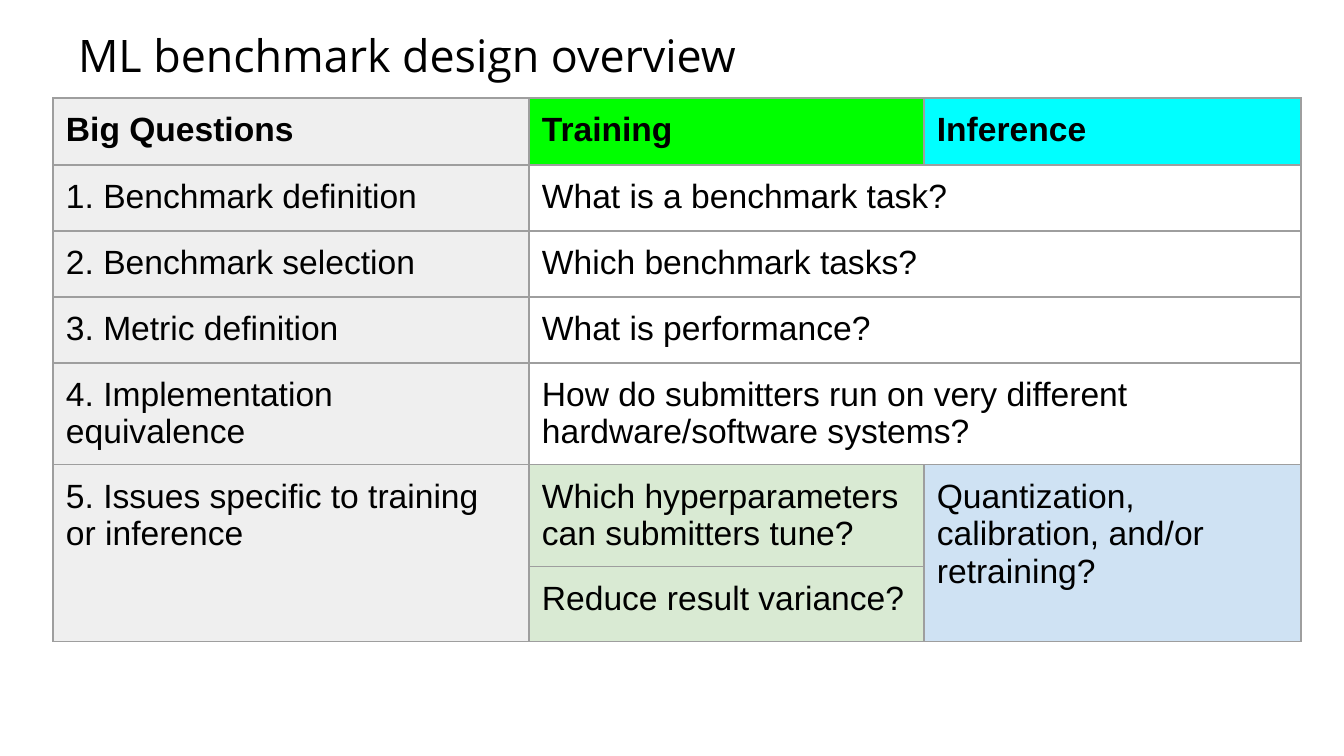
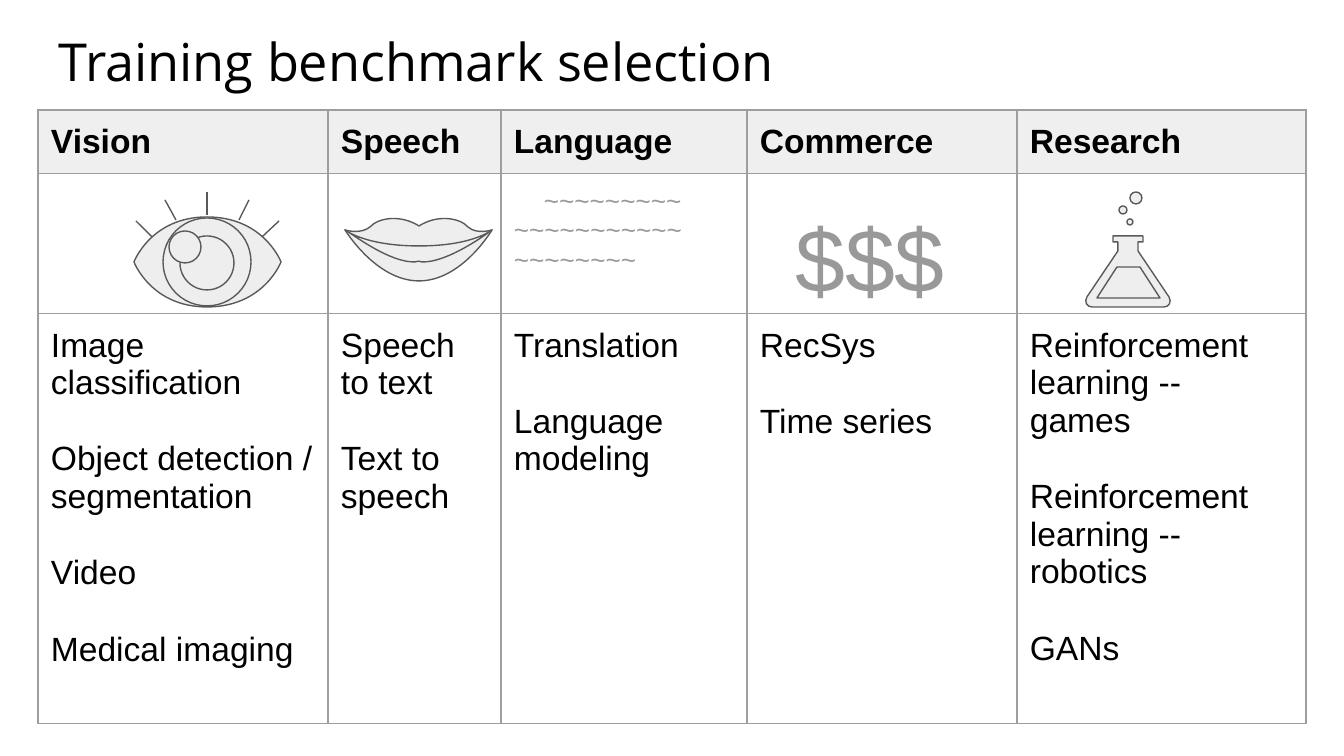
from lxml.etree import SubElement
from pptx import Presentation
from pptx.dml.color import RGBColor
from pptx.enum.text import MSO_ANCHOR, MSO_AUTO_SIZE, PP_ALIGN
from pptx.oxml.ns import qn
from pptx.util import Pt

PX = 6804
INSET = 13 * PX
BLACK = RGBColor(0x00, 0x00, 0x00)
GRID = RGBColor(0x9E, 0x9E, 0x9E)
LIGHT = RGBColor(0xEF, 0xEF, 0xEF)
GREEN = RGBColor(0x00, 0xFF, 0x00)
CYAN = RGBColor(0x00, 0xFF, 0xFF)
PALE_GREEN = RGBColor(0xD9, 0xEA, 0xD3)
PALE_BLUE = RGBColor(0xCF, 0xE2, 0xF3)
SYMBOL = RGBColor(0x99, 0x99, 0x99)
ICON_FILL = RGBColor(0xEE, 0xEE, 0xEE)
ICON_LINE = RGBColor(0x59, 0x59, 0x59)
TITLE_FONT = "Open Sans"
BODY_FONT = "Arial"

presentation = Presentation()
presentation.slide_width = 1344 * PX
presentation.slide_height = 756 * PX


def add_table_slide(heading, title_box, title_size, corner, widths, heights, rows, fills, merges):
    slide = presentation.slides.add_slide(presentation.slide_layouts[5])
    title = slide.shapes.title
    title.left, title.top, title.width, title.height = [n * PX for n in title_box]
    frame = title.text_frame
    frame.text = heading
    frame.auto_size = MSO_AUTO_SIZE.NONE
    frame.word_wrap = True
    frame.vertical_anchor = MSO_ANCHOR.TOP
    frame.margin_left = frame.margin_right = frame.margin_top = frame.margin_bottom = INSET
    paragraph = frame.paragraphs[0]
    paragraph.alignment = PP_ALIGN.LEFT
    paragraph.font.name = TITLE_FONT
    paragraph.font.size = Pt(title_size)
    paragraph.font.color.rgb = BLACK

    left, top = corner
    table = slide.shapes.add_table(
        len(heights), len(widths), left * PX, top * PX, sum(widths) * PX, sum(heights) * PX
    ).table
    table.first_row = table.horz_banding = False
    for column, width in zip(table.columns, widths):
        column.width = width * PX
    for row, height in zip(table.rows, heights):
        row.height = height * PX
    for row_index, (texts, colors) in enumerate(zip(rows, fills)):
        for column_index, (text, color) in enumerate(zip(texts, colors)):
            cell = table.cell(row_index, column_index)
            cell.text = text
            cell.margin_left = cell.margin_right = cell.margin_top = cell.margin_bottom = INSET
            properties = cell._tc.get_or_add_tcPr()
            for side in ("a:lnL", "a:lnR", "a:lnT", "a:lnB"):
                border = SubElement(properties, qn(side), w=str(Pt(0.75)))
                solid = SubElement(border, qn("a:solidFill"))
                SubElement(solid, qn("a:srgbClr"), val=str(GRID))
            if color is None:
                cell.fill.background()
            else:
                cell.fill.solid()
                cell.fill.fore_color.rgb = color
            for index, paragraph in enumerate(cell.text_frame.paragraphs):
                if index:
                    paragraph.space_before = Pt(20.7)
                paragraph.font.name = BODY_FONT
                paragraph.font.size = Pt(18)
                paragraph.font.bold = row_index == 0
                paragraph.font.color.rgb = BLACK
    for first_row, first_column, last_row, last_column in merges:
        table.cell(first_row, first_column).merge(table.cell(last_row, last_column))
    return slide, table


def draw_icon(slide, box, outlines):
    left, top, width, height = box
    builder = slide.shapes.build_freeform(left, top, scale=PX)
    builder.add_line_segments(
        [(left + width, top), (left + width, top + height), (left, top + height)]
    )
    shape = builder.convert_to_shape()
    shape.shadow.inherit = False
    shape.fill.solid()
    shape.fill.fore_color.rgb = ICON_FILL
    shape.line.color.rgb = ICON_LINE
    shape.line.width = Pt(0.75)
    path_list = shape._element.spPr.find(".//" + qn("a:pathLst"))
    path_list.clear()
    tags = {"M": "a:moveTo", "L": "a:lnTo", "C": "a:cubicBezTo"}
    for outline in outlines:
        figure = SubElement(path_list, qn("a:path"), w=str(width), h=str(height))
        closed = outline[-1][0] in "ZO"
        if not closed:
            figure.set("fill", "none")
        for command, *numbers in outline:
            if command == "Z":
                SubElement(figure, qn("a:close"))
                continue
            if command == "O":
                center_x, center_y, radius = numbers
                command, numbers = "M", [center_x + radius, center_y]
            step = SubElement(figure, qn(tags[command]))
            for x, y in zip(numbers[::2], numbers[1::2]):
                SubElement(step, qn("a:pt"), x=str(x - left), y=str(y - top))
            if outline[0][0] == "O":
                SubElement(figure, qn("a:arcTo"), wR=str(radius), hR=str(radius),
                           stAng="0", swAng="21600000")
                SubElement(figure, qn("a:close"))


overview, overview_table = add_table_slide(
    "ML benchmark design overview", (65, 15, 1232, 85), 24,
    (53, 98), (476, 395, 377), (67, 66, 66, 66, 102, 102, 75),
    [
        ("Big Questions", "Training", "Inference"),
        ("1. Benchmark definition", "What is a benchmark task?", ""),
        ("2. Benchmark selection", "Which benchmark tasks?", ""),
        ("3. Metric definition", "What is performance?", ""),
        ("4. Implementation equivalence",
         "How do submitters run on very different hardware/software systems?", ""),
        ("5. Issues specific to training or inference",
         "Which hyperparameters can submitters tune?",
         "Quantization, calibration, and/or retraining?"),
        ("", "Reduce result variance?", ""),
    ],
    [(LIGHT, GREEN, CYAN)] + [(LIGHT, None, None)] * 4 + [(LIGHT, PALE_GREEN, PALE_BLUE)] * 2,
    [(row, 1, row, 2) for row in range(1, 5)] + [(5, 0, 6, 0), (5, 2, 6, 2)],
)
overview_table.cell(6, 1).margin_right = 11 * PX

selection, selection_table = add_table_slide(
    "Training benchmark selection", (46, 16, 1253, 85), 28,
    (38, 110), (290, 173, 246, 270, 289), (63, 140, 410),
    [
        ("Vision", "Speech", "Language", "Commerce", "Research"),
        ("", "", "~~~~~~~~~\n~~~~~~~~~~~\n~~~~~~~~", "", ""),
        ("Image classification\nObject detection / segmentation\nVideo\nMedical imaging",
         "Speech to text\nText to speech",
         "Translation\nLanguage modeling",
         "RecSys\nTime series",
         "Reinforcement learning --\vgames\nReinforcement learning -- robotics\nGANs"),
    ],
    [(LIGHT,) * 5, (None,) * 5, (None,) * 5],
    [],
)
text_lines = selection_table.cell(1, 2).text_frame.paragraphs
for paragraph in text_lines:
    paragraph.space_before = Pt(0)
    paragraph.font.size = Pt(14)
    paragraph.font.color.rgb = SYMBOL
text_lines[0]._p.get_or_add_pPr().set("indent", str(30 * PX))

eye = [
    [("M", 134, 262), ("C", 134, 262, 151, 217, 207, 217), ("C", 264, 217, 281, 262, 281, 262),
     ("C", 281, 262, 264, 307, 207, 307), ("C", 151, 307, 134, 262, 134, 262), ("Z",)],
    [("O", 207, 262, 44)],
    [("O", 207, 263, 27)],
    [("O", 185, 247, 16)],
]
lashes = [(207, 215, 207, 192), (239, 220, 249, 200), (262, 237, 279, 221),
          (152, 237, 136, 221), (176, 220, 165, 200)]
eye += [[("M", x1, y1), ("L", x2, y2)] for x1, y1, x2, y2 in lashes]
draw_icon(selection, (133, 192, 148, 116), eye)

lips = [
    [("M", 345, 230), ("C", 345, 230, 360, 235, 370, 227), ("C", 378, 218, 400, 214, 419, 226),
     ("C", 438, 214, 460, 218, 468, 227), ("C", 477, 235, 492, 230, 492, 230),
     ("C", 492, 230, 462, 281, 419, 281), ("C", 376, 281, 345, 230, 345, 230), ("Z",)],
    [("M", 345, 230), ("C", 349, 233, 370, 246, 419, 246), ("C", 468, 246, 488, 233, 492, 230),
     ("C", 487, 234, 447, 263, 422, 262), ("C", 419, 261, 418, 261, 415, 262),
     ("C", 390, 263, 352, 234, 345, 230), ("Z",)],
]
draw_icon(selection, (345, 218, 148, 62), lips)

dollars = selection.shapes.add_textbox(762 * PX, 194 * PX, 216 * PX, 112 * PX)
frame = dollars.text_frame
frame.text = "$$$"
frame.word_wrap = True
frame.auto_size = MSO_AUTO_SIZE.NONE
frame.vertical_anchor = MSO_ANCHOR.MIDDLE
frame.margin_left = frame.margin_right = frame.margin_bottom = INSET
frame.margin_top = 2 * INSET
paragraph = frame.paragraphs[0]
paragraph.alignment = PP_ALIGN.CENTER
paragraph.font.name = BODY_FONT
paragraph.font.size = Pt(48)
paragraph.font.color.rgb = SYMBOL

flask = [
    [("M", 1169, 297), ("L", 1138, 251), ("L", 1138, 242), ("L", 1143, 242), ("L", 1143, 236),
     ("L", 1113, 236), ("L", 1113, 242), ("L", 1118, 242), ("L", 1118, 251), ("L", 1087, 297),
     ("C", 1084, 302, 1087, 307, 1092, 307), ("L", 1164, 307),
     ("C", 1169, 307, 1172, 302, 1169, 297), ("Z",)],
    [("M", 1160, 298), ("L", 1140, 267), ("L", 1117, 267), ("L", 1097, 298), ("Z",)],
    [("O", 1123, 210, 4)],
    [("O", 1130, 222, 3)],
    [("O", 1136, 198, 6)],
]
draw_icon(selection, (1086, 192, 85, 116), flask)

presentation.save("out.pptx")
